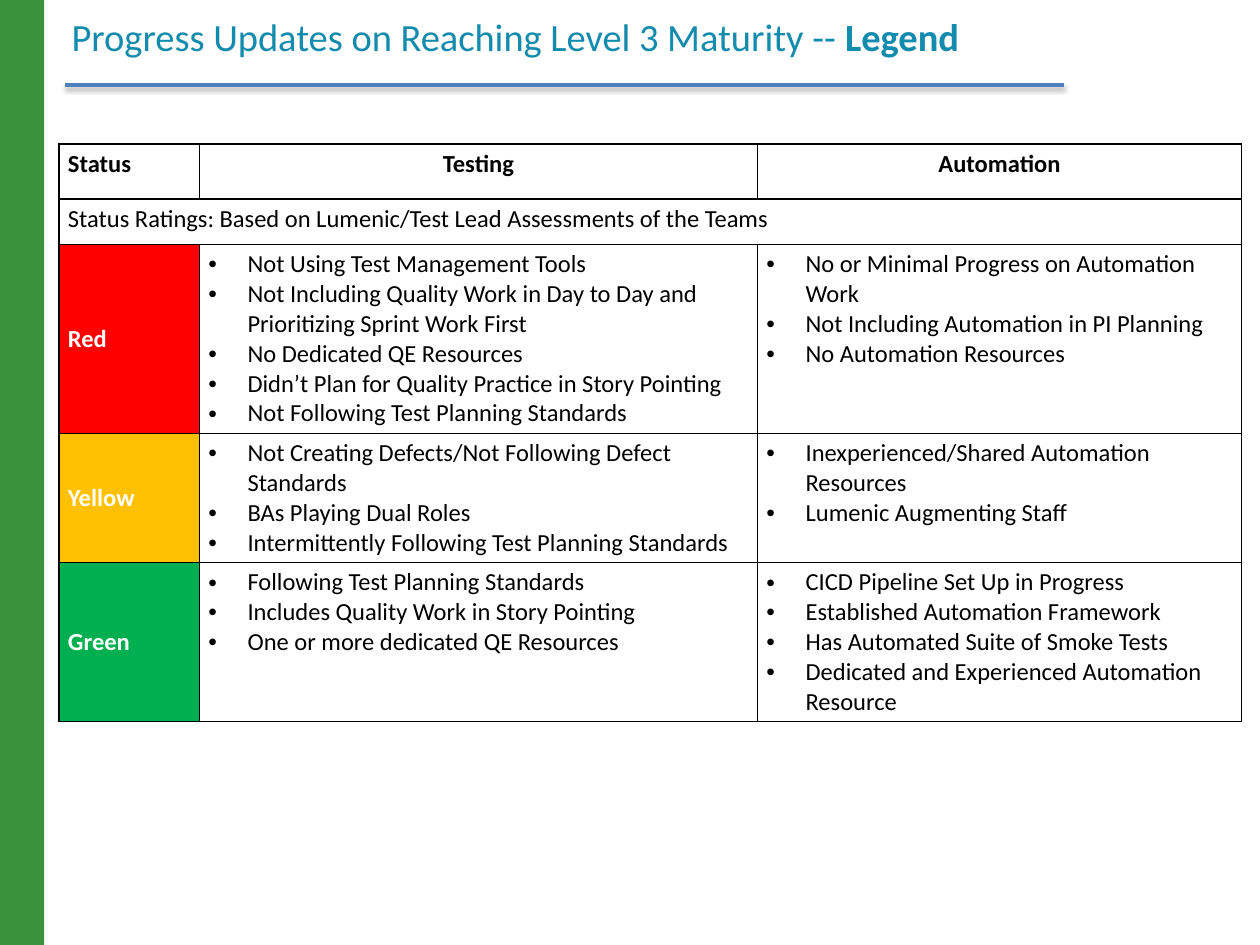
from lxml.etree import SubElement
from pptx import Presentation
from pptx.dml.color import RGBColor
from pptx.enum.shapes import MSO_CONNECTOR as Connector, MSO_SHAPE as Shape
from pptx.enum.text import MSO_ANCHOR as Anchor, MSO_AUTO_SIZE as AutoSize, PP_ALIGN as Align
from pptx.oxml.ns import qn
from pptx.util import Cm, Pt

BLACK = RGBColor(0x00, 0x00, 0x00)
WHITE = RGBColor(0xFF, 0xFF, 0xFF)
BAND_GREEN = RGBColor(0x3A, 0x92, 0x3D)
RULE_BLUE = RGBColor(0x4F, 0x81, 0xBD)
TITLE_TEAL = RGBColor(0x12, 0x8B, 0xAD)
RED = RGBColor(0xFF, 0x00, 0x00)
YELLOW = RGBColor(0xFF, 0xC0, 0x00)
GREEN = RGBColor(0x00, 0xB0, 0x50)

COLUMN_WIDTHS = (2.83, 11.25, 9.76)
ROW_HEIGHTS = (1.11, 0.92, 3.78, 2.6, 3.2)
HEADINGS = ("Status", "Testing", "Automation")
RATING_NOTE = "Status Ratings: Based on Lumenic/Test Lead Assessments of the Teams"
RATINGS = (
    ("Red", RED,
     ("Not Using Test Management Tools",
      "Not Including Quality Work in Day to Day and Prioritizing Sprint Work First",
      "No Dedicated QE Resources",
      "Didn’t Plan for Quality Practice in Story Pointing",
      "Not Following Test Planning Standards"),
     ("No or Minimal Progress on Automation Work",
      "Not Including Automation in PI Planning",
      "No Automation Resources")),
    ("Yellow", YELLOW,
     ("Not Creating Defects/Not Following Defect Standards",
      "BAs Playing Dual Roles",
      "Intermittently Following Test Planning Standards"),
     ("Inexperienced/Shared Automation Resources",
      "Lumenic Augmenting Staff")),
    ("Green", GREEN,
     ("Following Test Planning Standards",
      "Includes Quality Work in Story Pointing",
      "One or more dedicated QE Resources"),
     ("CICD Pipeline Set Up in Progress",
      "Established Automation Framework",
      "Has Automated Suite of Smoke Tests",
      "Dedicated and Experienced Automation Resource")),
)


def add_bullet(para, indent):
    """Give a paragraph a round bullet with a hanging indent."""
    props = para._p.get_or_add_pPr()
    props.set("marL", str(indent))
    props.set("indent", str(-indent))
    SubElement(props, qn("a:buFont"), typeface="Arial")
    SubElement(props, qn("a:buChar"), char="•")


def add_borders(cell, color, width):
    """Draw a solid line on all four sides of a cell."""
    props = cell._tc.get_or_add_tcPr()
    for side in ("lnL", "lnR", "lnT", "lnB"):
        line = SubElement(props, qn(f"a:{side}"), w=str(width))
        fill = SubElement(line, qn("a:solidFill"))
        SubElement(fill, qn("a:srgbClr"), val=str(color))


def add_soft_shadow(connector):
    """Put a soft shadow straight below a line."""
    effects = SubElement(connector._element.spPr, qn("a:effectLst"))
    shadow = SubElement(effects, qn("a:outerShdw"), blurRad=str(Pt(3.1)),
                        dist=str(Pt(1.6)), dir="5400000", rotWithShape="0")
    color = SubElement(shadow, qn("a:srgbClr"), val=str(BLACK))
    SubElement(color, qn("a:alpha"), val="38000")


class SlideBuilder:
    """Holds the text style and the current slide."""

    font = "Calibri"
    size = 14

    def __init__(self, page):
        """Start on the given slide."""
        self.page = page

    def add_text(self, para, text, size=None, color=BLACK, bold=False):
        """Add one formatted run to a paragraph."""
        span = para.add_run()
        span.text = text
        span.font.name = self.font
        span.font.size = Pt(size or self.size)
        span.font.bold = bold
        span.font.color.rgb = color

    def band(self, left, top, width, height, color):
        """Add a plain filled rectangle."""
        box = self.page.shapes.add_shape(
            Shape.RECTANGLE, Cm(left), Cm(top), Cm(width), Cm(height))
        box.shadow.inherit = False
        box.fill.solid()
        box.fill.fore_color.rgb = color
        box.line.fill.background()

    def rule(self, left, right, top, color):
        """Add a horizontal line with a soft shadow."""
        line = self.page.shapes.add_connector(
            Connector.STRAIGHT, Cm(left), Cm(top), Cm(right), Cm(top))
        line.line.color.rgb = color
        line.line.width = Pt(2)
        add_soft_shadow(line)

    def title(self, left, top, width, height, plain, strong):
        """Place the title, ending in a bold part."""
        box = self.page.shapes.title
        box.left, box.top, box.width, box.height = Cm(left), Cm(top), Cm(width), Cm(height)
        frame = box.text_frame
        frame.word_wrap = True
        frame.auto_size = AutoSize.NONE
        frame.vertical_anchor = Anchor.BOTTOM
        para = frame.paragraphs[0]
        para.alignment = Align.LEFT
        self.add_text(para, plain, size=22, color=TITLE_TEAL)
        self.add_text(para, strong, size=22, color=TITLE_TEAL, bold=True)

    def table(self, left, top, widths, heights):
        """Add an unbanded table with bordered cells."""
        table = self.page.shapes.add_table(
            len(heights), len(widths), Cm(left), Cm(top),
            Cm(sum(widths)), Cm(sum(heights))).table
        table.first_row = table.horz_banding = False
        for column, width in zip(table.columns, widths):
            column.width = Cm(width)
        for row, height in zip(table.rows, heights):
            row.height = Cm(height)
        for cell in table.iter_cells():
            add_borders(cell, BLACK, Pt(1))
        return table

    def cell(self, cell, lines, fill=WHITE, anchor=Anchor.TOP, align=Align.LEFT,
             bullets=False, **style):
        """Fill a cell with one paragraph for each line."""
        cell.fill.solid()
        cell.fill.fore_color.rgb = fill
        cell.vertical_anchor = anchor
        cell.margin_left = cell.margin_right = Cm(0.18)
        cell.margin_top = cell.margin_bottom = Cm(0.1)
        frame = cell.text_frame
        for index, line in enumerate(lines):
            para = frame.add_paragraph() if index else frame.paragraphs[0]
            para.alignment = align
            if bullets:
                add_bullet(para, Cm(0.79))
            self.add_text(para, line, **style)


def main():
    """Build the status legend slide."""
    deck = Presentation()
    deck.slide_width, deck.slide_height = Cm(25.4), Cm(19.05)
    slide = SlideBuilder(deck.slides.add_slide(deck.slide_layouts[5]))

    slide.band(0, 0, 0.89, 19.05, BAND_GREEN)
    slide.rule(1.32, 21.44, 1.71, RULE_BLUE)
    slide.title(1.19, 0.28, 22.15, 1.04,
                "Progress Updates on Reaching Level 3 Maturity -- ", "Legend")

    legend = slide.table(1.19, 2.9, COLUMN_WIDTHS, ROW_HEIGHTS)
    for column, heading in enumerate(HEADINGS):
        slide.cell(legend.cell(0, column), [heading], bold=True,
                   align=Align.CENTER if column else Align.LEFT)
    legend.cell(1, 0).merge(legend.cell(1, 2))
    slide.cell(legend.cell(1, 0), [RATING_NOTE])
    for row, (status, color, testing, automation) in enumerate(RATINGS, start=2):
        slide.cell(legend.cell(row, 0), [status], fill=color,
                   anchor=Anchor.MIDDLE, color=WHITE, bold=True)
        slide.cell(legend.cell(row, 1), testing, bullets=True)
        slide.cell(legend.cell(row, 2), automation, bullets=True)

    deck.save("out.pptx")


main()
